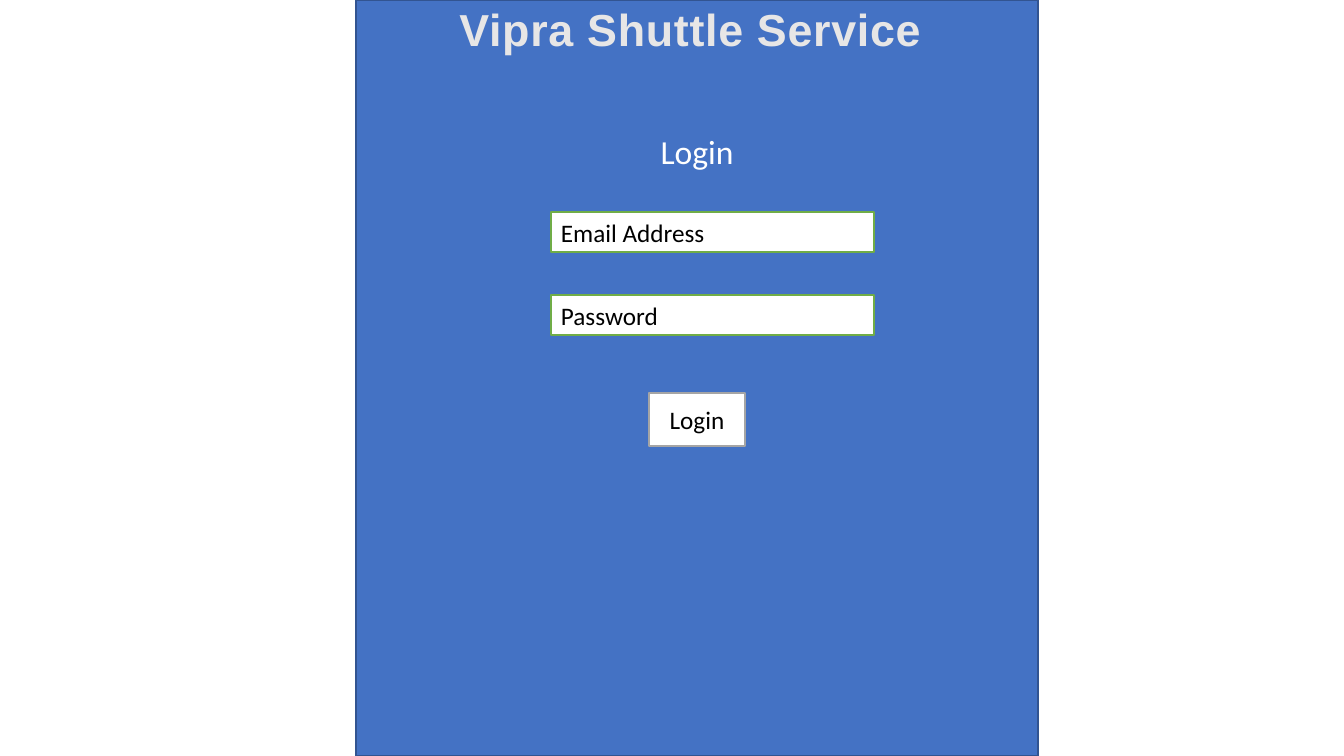
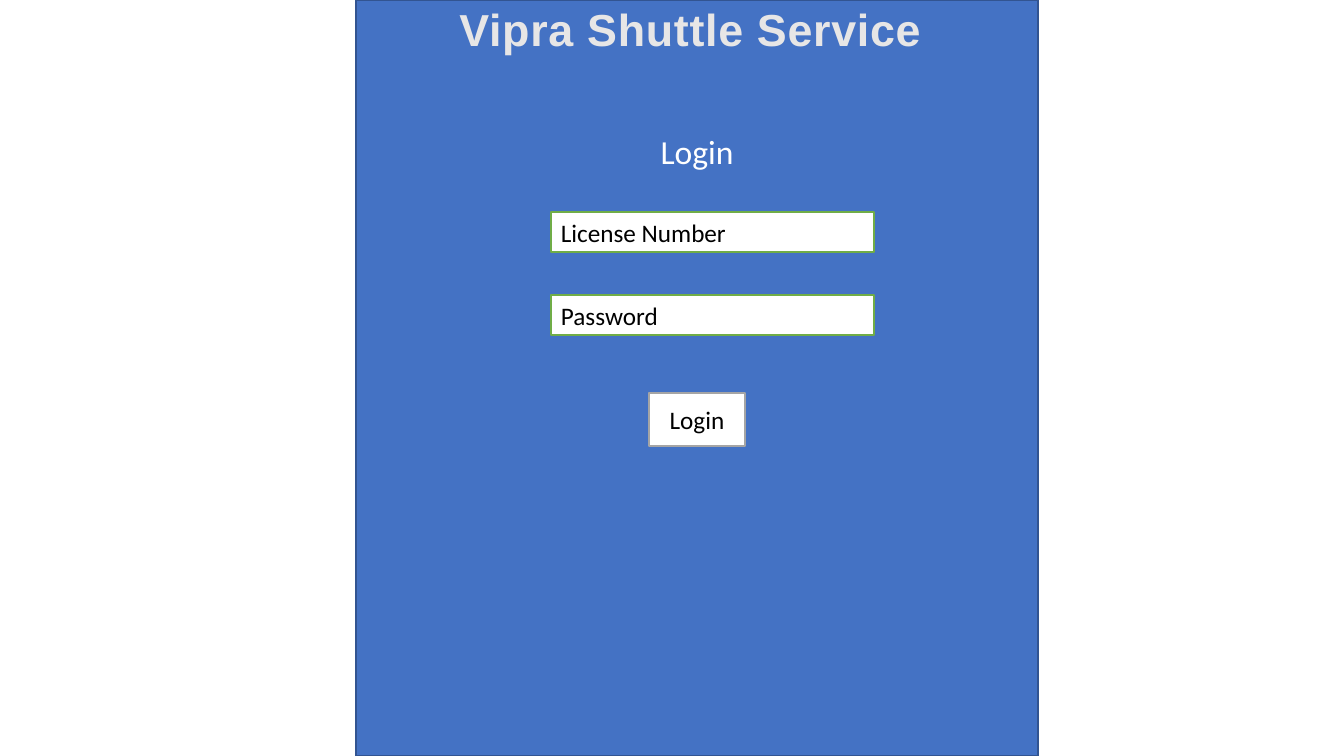
"""Build the two login screens of the shuttle service."""
from pptx import Presentation, util as u
from pptx.dml.color import RGBColor
from pptx.enum import shapes, text

SERVICE = "Vipra Shuttle Service "
HEADING = "Login"
BUTTON = "Login"
SCREENS = [
    ("Email Address", "Password"),
    ("License Number", "Password"),
]

COLORS = {
    "panel": "4472C4", "panel_edge": "325491", "service": "E7E6E6",
    "white": "FFFFFF", "black": "000000",
    "field_edge": "70AD47", "button_edge": "A5A5A5",
}
SCALE = 914400 / 100.8
WIDTH, HEIGHT = 1344, 756
PANEL_LEFT, PANEL_WIDTH = 356, 682
FIELD_LEFT, FIELD_TOP, FIELD_WIDTH, FIELD_HEIGHT = 551, 212, 323, 40
FIELD_PITCH = 83
BUTTON_TOP, BUTTON_WIDTH, BUTTON_HEIGHT = 393, 96, 53
LEFT, CENTER = text.PP_ALIGN.LEFT, text.PP_ALIGN.CENTER


def px(length):
    return u.Emu(round(length * SCALE))


def color(name):
    return RGBColor.from_string(COLORS[name])


def write(shape, words, size, ink, align, face="Calibri"):
    frame = shape.text_frame
    frame.word_wrap = True
    paragraph = frame.paragraphs[0]
    paragraph.alignment = align
    font = paragraph.font
    font.name, font.size = face, u.Pt(size)
    font.color.rgb = color(ink)
    run = paragraph.add_run()
    run.text = words
    return paragraph, run


def add_box(slide, place, fill, edge):
    box = slide.shapes.add_shape(shapes.MSO_SHAPE.RECTANGLE, *map(px, place))
    box.shadow.inherit = False
    box.fill.solid()
    box.fill.fore_color.rgb = color(fill)
    box.line.color.rgb = color(edge)
    box.line.width = u.Pt(1)
    box.text_frame.vertical_anchor = text.MSO_ANCHOR.MIDDLE
    return box


def add_label(slide, top, height, *style):
    place = PANEL_LEFT, top, PANEL_WIDTH, height
    label = slide.shapes.add_textbox(*map(px, place))
    return write(label, *style)


def add_frame(slide):
    add_box(slide, (PANEL_LEFT, 0, PANEL_WIDTH, HEIGHT), "panel", "panel_edge")
    paragraph, run = add_label(slide, -3, 64, SERVICE, 32, "service", CENTER, "Arial")
    paragraph.font.bold = True
    run._r.get_or_add_rPr().set("spc", "50")
    add_label(slide, 126, 50, HEADING, 24, "white", CENTER)


def add_form(slide, fields):
    for row, field in enumerate(fields):
        place = FIELD_LEFT, FIELD_TOP + row * FIELD_PITCH, FIELD_WIDTH, FIELD_HEIGHT
        box = add_box(slide, place, "white", "field_edge")
        write(box, field, 18, "black", LEFT)
    button_left = PANEL_LEFT + (PANEL_WIDTH - BUTTON_WIDTH) // 2
    place = button_left, BUTTON_TOP, BUTTON_WIDTH, BUTTON_HEIGHT
    button = add_box(slide, place, "white", "button_edge")
    write(button, BUTTON, 18, "black", CENTER)


deck = Presentation()
deck.slide_width, deck.slide_height = px(WIDTH), px(HEIGHT)
for fields in SCREENS:
    screen = deck.slides.add_slide(deck.slide_layouts[6])
    add_frame(screen)
    add_form(screen, fields)
deck.save("out.pptx")
